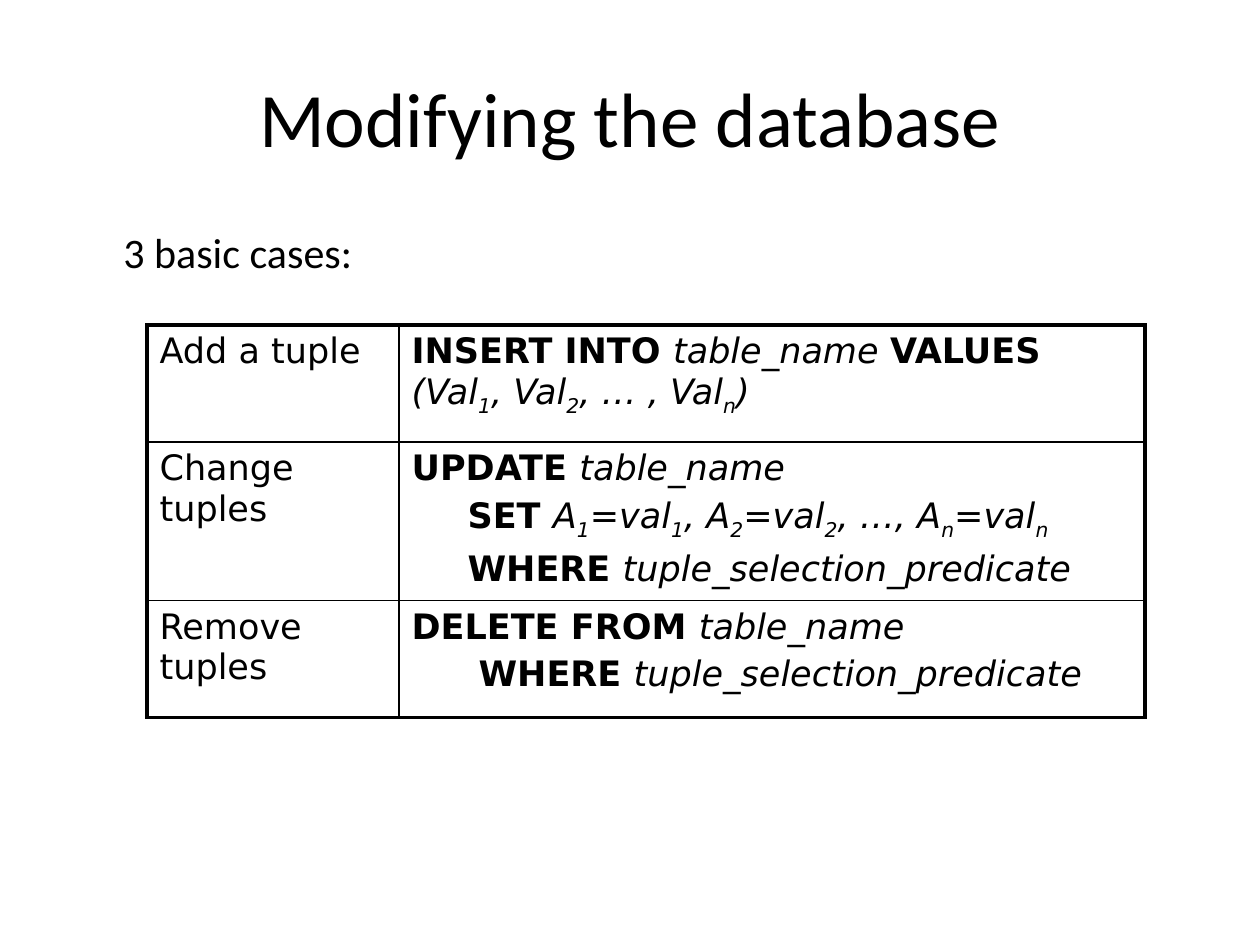
from lxml.etree import SubElement
from pptx import Presentation
from pptx.dml.color import RGBColor
from pptx.enum.text import MSO_ANCHOR as Anchor, PP_ALIGN as Align
from pptx.oxml.ns import qn
from pptx.util import Emu, Pt

PX = 914400 // 126
BLACK = RGBColor(0, 0, 0)
HEADING_FONT, TABLE_FONT = "Calibri", "DejaVu Sans"
THICK, THIN = 2.25, 1

# Content: each statement line is (indent px, [(text, style), ...]);
# within a text, every second part between bars is a subscript.
TITLE = "Modifying the database"
INTRO = "3 basic cases:"
BOLD, ITALIC, PLAIN = "bold", "italic", "plain"
PREDICATE = ("tuple_selection_predicate", ITALIC)
CASES = [
    ("Add a tuple", [
        (0, [("INSERT INTO ", BOLD), ("table_name ", ITALIC), ("VALUES ", BOLD),
             ("(Val|1|, Val|2|, … , Val|n|)", ITALIC)]),
    ]),
    ("Change tuples", [
        (0, [("UPDATE ", BOLD), ("table_name", ITALIC)]),
        (56, [("SET ", BOLD), ("A|1|=val|1|, A|2|=val|2|, …, A|n|=val|n|", ITALIC)]),
        (56, [("WHERE ", BOLD), PREDICATE]),
    ]),
    ("Remove tuples", [
        (0, [("DELETE FROM ", BOLD), ("table_name", ITALIC)]),
        (67, [("WHERE ", BOLD), PREDICATE]),
    ]),
]
TABLE_LEFT, TABLE_TOP = 147, 325
COLUMN_WIDTHS = [252, 746]
ROW_HEIGHTS = [117, 154, 117]


def px(value):
    return Emu(value * PX)


def format_paragraph(paragraph, font, size, space=0, indent=0):
    paragraph.font.name = font
    paragraph.font.size = Pt(size)
    paragraph.font.color.rgb = BLACK
    paragraph.space_before = Pt(space)
    if indent:
        properties = paragraph._p.get_or_add_pPr()
        properties.set("marL", str(px(indent)))
        properties.set("indent", "0")


def add_heading(slide, text, box, size, space=0, indent=0):
    frame = slide.shapes.add_textbox(*map(px, box)).text_frame
    frame.word_wrap = True
    paragraph = frame.paragraphs[0]
    paragraph.text = text
    format_paragraph(paragraph, HEADING_FONT, size, space, indent)
    return frame


def add_styled_text(paragraph, text, style):
    for position, part in enumerate(text.split("|")):
        run = paragraph.add_run()
        run.text = part
        if style != PLAIN:
            run.font.bold = style == BOLD
            run.font.italic = style == ITALIC
        if position % 2:
            run.font._element.set("baseline", "-25000")


def fill_cell(cell, lines):
    frame = cell.text_frame
    for number, (indent, pieces) in enumerate(lines):
        paragraph = frame.add_paragraph() if number else frame.paragraphs[0]
        format_paragraph(paragraph, TABLE_FONT, 20, 4, indent)
        for text, style in pieces:
            add_styled_text(paragraph, text, style)


def set_borders(cell, widths):
    properties = cell._tc.get_or_add_tcPr()
    for side, width in widths.items():
        line = SubElement(properties, qn(f"a:ln{side}"), w=str(Pt(width)))
        fill = SubElement(line, qn("a:solidFill"))
        SubElement(fill, qn("a:srgbClr"), val=str(BLACK))


def add_cases_table(slide):
    rows, columns = len(CASES), len(COLUMN_WIDTHS)
    table = slide.shapes.add_table(
        rows, columns, px(TABLE_LEFT), px(TABLE_TOP),
        px(sum(COLUMN_WIDTHS)), px(sum(ROW_HEIGHTS))).table
    table.first_row = table.horz_banding = False
    for column, width in zip(table.columns, COLUMN_WIDTHS):
        column.width = px(width)
    for row, height in zip(table.rows, ROW_HEIGHTS):
        row.height = px(height)
    for r, (case, statement) in enumerate(CASES):
        for c, lines in enumerate([[(0, [(case, PLAIN)])], statement]):
            cell = table.cell(r, c)
            fill_cell(cell, lines)
            # Thick outer frame, thin inner rules
            set_borders(cell, {
                "L": THICK if c == 0 else THIN,
                "R": THICK if c == columns - 1 else THIN,
                "T": THICK if r == 0 else THIN,
                "B": THICK if r == rows - 1 else THIN,
            })
            cell.fill.background()


def main():
    presentation = Presentation()
    presentation.slide_width, presentation.slide_height = px(1260), px(945)
    slide = presentation.slides.add_slide(presentation.slide_layouts[6])

    # Title and introduction
    title = add_heading(slide, TITLE, (63, 38, 1134, 157), 44)
    title.vertical_anchor = Anchor.MIDDLE
    title.paragraphs[0].alignment = Align.CENTER
    add_heading(slide, INTRO, (63, 220, 1113, 624), 24, 4.8, 48)

    # Statements for each case
    add_cases_table(slide)
    presentation.save("out.pptx")


if __name__ == "__main__":
    main()
